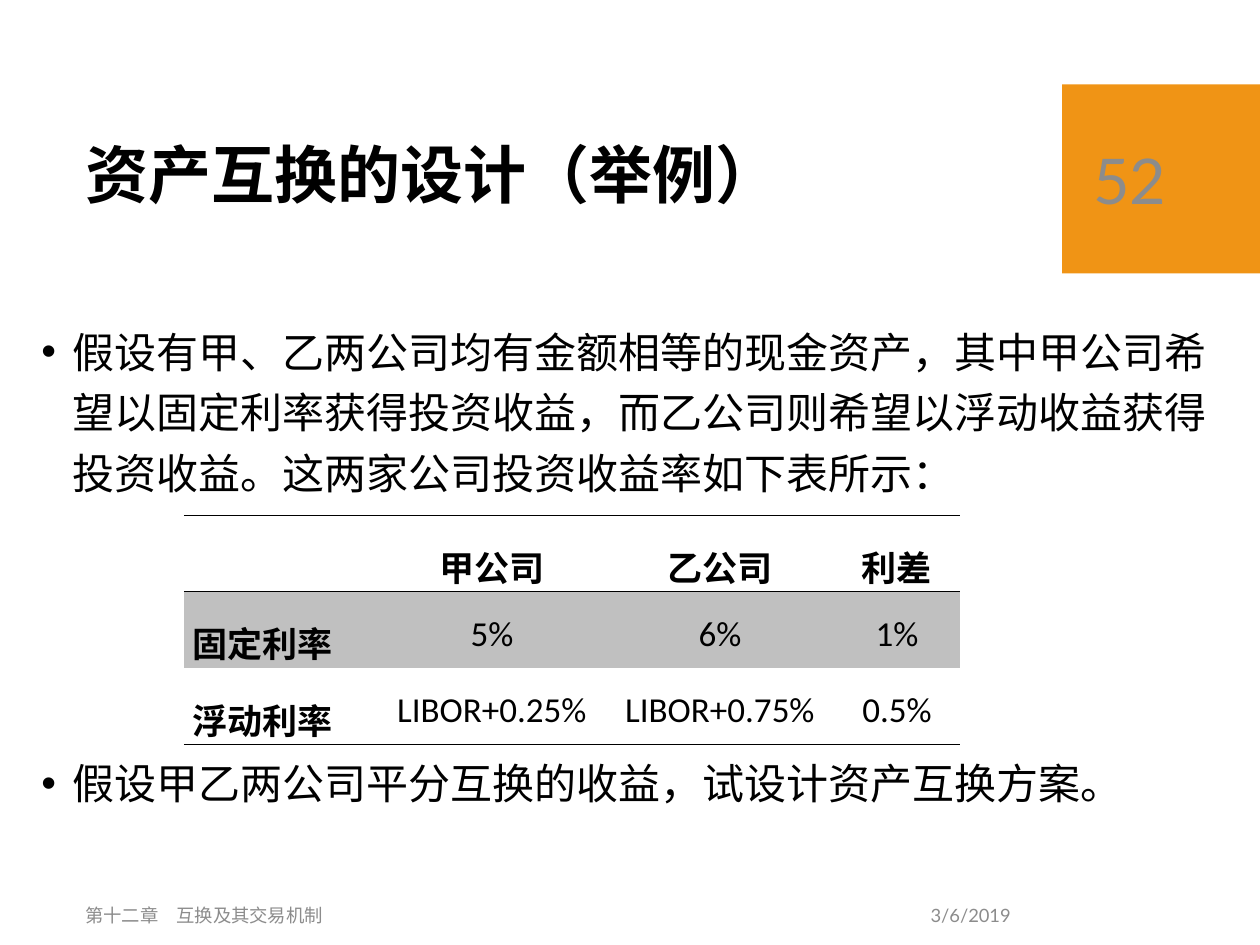
from lxml.etree import SubElement
from pptx import Presentation
from pptx.dml.color import RGBColor
from pptx.enum.shapes import MSO_SHAPE
from pptx.enum.text import MSO_ANCHOR, PP_ALIGN
from pptx.oxml.ns import qn
from pptx.util import Inches, Pt

BLACK, GREY, ORANGE, WHITE, SILVER = "000000", "8C8C8C", "F09415", "FFFFFF", "C0C0C0"
RATES = [
    ["", "甲公司", "乙公司", "利差"],
    ["固定利率", "5%", "6%", "1%"],
    ["浮动利率", "LIBOR+0.25%", "LIBOR+0.75%", "0.5%"],
]


def paint(fmt, color):
    """Give a fill or a font a hex colour."""
    if hasattr(fmt, "solid"):
        fmt.solid()
        fmt.fore_color.rgb = RGBColor.from_string(color)
    else:
        fmt.color.rgb = RGBColor.from_string(color)


def add_run(p, text, size, color=BLACK, bold=False, font="Lato"):
    """Append a formatted run to a paragraph."""
    r = p.add_run()
    r.text = text
    r.font.size, r.font.bold, r.font.name = Pt(size), bold, font
    paint(r.font, color)


def add_box(s, x, y, w, h, anchor=MSO_ANCHOR.MIDDLE):
    """Add a wrapping text box and return its text frame."""
    tf = s.shapes.add_textbox(Inches(x), Inches(y), Inches(w), Inches(h)).text_frame
    tf.word_wrap = True
    tf.vertical_anchor = anchor
    return tf


def add_title(s, x, y, w, h):
    """Place the slide title."""
    p = add_box(s, x, y, w, h).paragraphs[0]
    p.line_spacing = 0.9
    add_run(p, "资产互换的设计（举例）", 36, bold=True)


def add_page_number(s, x, y, w, h):
    """Place the orange block with the page number."""
    sp = s.shapes.add_shape(MSO_SHAPE.RECTANGLE, Inches(x), Inches(y), Inches(w), Inches(h))
    sp.shadow.inherit = False
    paint(sp.fill, ORANGE)
    sp.line.fill.background()
    tf = add_box(s, x + 0.15, y + 0.15, w - 0.3, h - 0.3)
    add_run(tf.paragraphs[0], "52", 36, GREY)


def add_bullet(p, text, space_before, font):
    """Fill a paragraph as a bulleted item."""
    p.line_spacing = 1.2
    p.space_before = Pt(space_before)
    add_run(p, text, 24, font=font)
    pPr = p._p.get_or_add_pPr()
    pPr.set("marL", str(Inches(0.25)))
    pPr.set("indent", str(-Inches(0.25)))
    SubElement(pPr, qn("a:buFont"), typeface="Arial")
    SubElement(pPr, qn("a:buChar"), char="•")


def add_body(s, x, y, w, h):
    """Place the two items that stand above and below the table."""
    tf = add_box(s, x, y, w, h, MSO_ANCHOR.TOP)
    add_bullet(
        tf.paragraphs[0],
        "假设有甲、乙两公司均有金额相等的现金资产，其中甲公司希望以固定利率获得投资收益，"
        "而乙公司则希望以浮动收益获得投资收益。这两家公司投资收益率如下表所示：",
        0, "Lato")
    add_bullet(tf.add_paragraph(), "假设甲乙两公司平分互换的收益，试设计资产互换方案。",
               143, "Courier New")


def set_borders(cell, ruled):
    """Rule the named sides of a cell and clear the others."""
    tcPr = cell._tc.get_or_add_tcPr()
    for i, side in enumerate(["lnL", "lnR", "lnT", "lnB"]):
        ln = tcPr.makeelement(qn("a:" + side), {"w": str(Pt(1))})
        if side in ruled:
            fill = SubElement(ln, qn("a:solidFill"))
            SubElement(fill, qn("a:srgbClr"), val=BLACK)
        else:
            SubElement(ln, qn("a:noFill"))
        tcPr.insert(i, ln)


def add_rates(s, x, y, widths, h):
    """Place the table of rates."""
    table = s.shapes.add_table(len(RATES), len(widths), Inches(x), Inches(y),
                               Inches(sum(widths)), Inches(h)).table
    for column, width in zip(table.columns, widths):
        column.width = Inches(width)
    rules = [["lnT", "lnB"], ["lnT"], ["lnB"]]
    for i, row in enumerate(RATES):
        for j, text in enumerate(row):
            cell = table.cell(i, j)
            cell.margin_left = cell.margin_right = Inches(0.07)
            cell.margin_top = cell.margin_bottom = 0
            paint(cell.fill, SILVER if i == 1 else WHITE)
            set_borders(cell, rules[i])
            if text:
                p = cell.text_frame.paragraphs[0]
                p.alignment = PP_ALIGN.CENTER if j else PP_ALIGN.LEFT
                p.line_spacing = 1.5
                add_run(p, text, 20, bold=i == 0 or j == 0, font="Calibri")


def add_footer(s, x, y, w, h, date_width):
    """Place the chapter name on the left and the date on the right."""
    chapter = add_box(s, x, y, w - date_width, h).paragraphs[0]
    add_run(chapter, "第十二章　互换及其交易机制", 10.5, GREY)
    date = add_box(s, x + w - date_width, y, date_width, h).paragraphs[0]
    date.alignment = PP_ALIGN.RIGHT
    add_run(date, "3/6/2019", 10.5, GREY)


def main():
    """Build the slide."""
    prs = Presentation()
    prs.slide_width, prs.slide_height = Inches(10), Inches(7.5)
    s = prs.slides.add_slide(prs.slide_layouts[6])
    add_page_number(s, 8.43, 0.67, 1.57, 1.5)
    add_title(s, 0.58, 0.82, 7.54, 1.18)
    add_body(s, 0.23, 2.46, 9.49, 4.5)
    add_rates(s, 1.46, 4.09, [1.54, 1.81, 1.81, 1], 1.82)
    add_footer(s, 0.58, 7.06, 7.54, 0.4, 2.25)
    prs.save("out.pptx")


if __name__ == "__main__":
    main()
